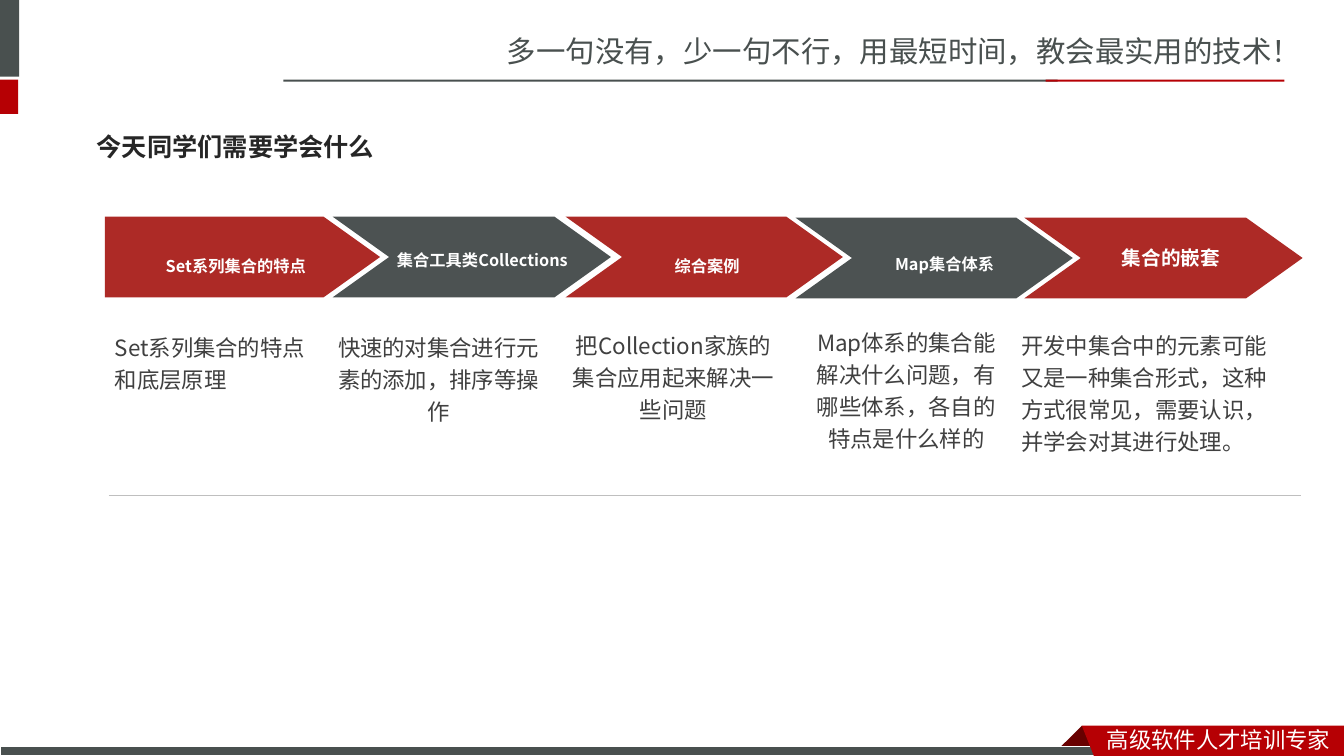
from collections import namedtuple

from lxml import etree
from pptx import Presentation
from pptx.dml.color import RGBColor
from pptx.enum.shapes import MSO_CONNECTOR, MSO_SHAPE
from pptx.enum.text import MSO_ANCHOR, MSO_AUTO_SIZE, PP_ALIGN
from pptx.oxml.ns import qn
from pptx.util import Pt

RECTANGLE = MSO_SHAPE.RECTANGLE
STRAIGHT = MSO_CONNECTOR.STRAIGHT
LEFT, CENTER = PP_ALIGN.LEFT, PP_ALIGN.CENTER
TOP, MIDDLE = MSO_ANCHOR.TOP, MSO_ANCHOR.MIDDLE
GROW, FIXED = MSO_AUTO_SIZE.SHAPE_TO_FIT_TEXT, MSO_AUTO_SIZE.NONE

EMU_PER_PX = 9144
TITLE_ONLY = 5
SANS_SC, SANS_JP, MONO = "Noto Sans CJK SC", "Noto Sans CJK JP", "Courier New"
GREY, RED, DARK_RED, WHITE = "49504F", "B60004", "680000", "FFFFFF"
ARROW_RED, ARROW_GREY = "AD2A26", "4C5252"
HEADING, BODY, RULE = "262626", "404040", "BFBFBF"
ARROW_HEIGHT, ARROW_TIP = 80, 56

Box = namedtuple("Box", "left top width height")
Stage = namedtuple("Stage", "arrow label_box label size spacing body_box body align")

STAGES = [
    Stage(Box(104, 215, 273, ARROW_HEIGHT), Box(103, 237, 262, 36),
          "Set系列集合的特点", 20, 1.2,
          Box(104, 321, 212, 73), "Set系列集合的特点和底层原理", LEFT),
    Stage(Box(330, 215, 276, ARROW_HEIGHT), Box(362, 236, 233, 33),
          "集合工具类Collections", 20, 1,
          Box(320, 321, 230, 105), "快速的对集合进行元素的添加，排序等操作", CENTER),
    Stage(Box(561, 215, 275, ARROW_HEIGHT), Box(528, 237, 347, 36),
          "综合案例", 20, 1.2,
          Box(553, 319, 230, 105), "把Collection家族的集合应用起来解决一些问题", CENTER),
    Stage(Box(789, 216, 275, ARROW_HEIGHT), Box(831, 240, 212, 33),
          "Map集合体系", 20, 1,
          Box(796, 316, 206, 138),
          "Map体系的集合能解决什么问题，有哪些体系，各自的特点是什么样的", CENTER),
    Stage(Box(1016, 216, 276, ARROW_HEIGHT), Box(1045, 235, 233, 37),
          "集合的嵌套", 14, 1.2,
          Box(1003, 319, 275, 138),
          "开发中集合中的元素可能又是一种集合形式，这种方式很常见，需要认识，并学会对其进行处理。", LEFT),
]


def px(count):
    return count * EMU_PER_PX


def colour(code):
    return RGBColor.from_string(code)


def paint(shape, fill):
    shape.shadow.inherit = False
    shape.fill.solid()
    shape.fill.fore_color.rgb = colour(fill)
    shape.line.fill.background()


def add_bar(page, box, fill):
    bar = page.shapes.add_shape(RECTANGLE, *map(px, box))
    paint(bar, fill)
    return bar


def add_outline(page, points, fill):
    start, *rest = [(px(x), px(y)) for x, y in points]
    builder = page.shapes.build_freeform(*start)
    builder.add_line_segments(rest, close=True)
    paint(builder.convert_to_shape(), fill)


def write(shape, text, size, fill, font=SANS_JP, east_asian=None, bold=False,
          align=LEFT, anchor=TOP, spacing=1, before=0, baseline=None, fit=GROW):
    frame = shape.text_frame
    frame.word_wrap = True
    frame.auto_size = fit
    frame.vertical_anchor = anchor
    para = frame.paragraphs[0]
    para.alignment = align
    para.line_spacing = spacing
    para.space_before = Pt(before)
    span = para.add_run()
    span.text = text
    span.font.size = Pt(size)
    span.font.bold = bold
    span.font.name = font
    span.font.color.rgb = colour(fill)
    properties = span._r.get_or_add_rPr()
    face = etree.Element(qn("a:ea"), typeface=east_asian or font)
    properties.find(qn("a:latin")).addnext(face)
    if baseline:
        properties.set("baseline", str(baseline))


def add_text(page, box, text, size, fill, **style):
    write(page.shapes.add_textbox(*map(px, box)), text, size, fill, **style)


def draw_header(page, box):
    add_text(page, Box(box.left + 493, box.top + 28, 840, 47),
             "多一句没有，少一句不行，用最短时间，教会最实用的技术！", 21, GREY, font=SANS_SC)
    add_bar(page, Box(box.left, box.top, 19, 76), GREY)
    add_bar(page, Box(box.left, box.top + 79, 18, 34), RED)
    add_bar(page, Box(box.left + 281, box.top + 79, 768, 2), GREY)
    add_bar(page, Box(box.left + 1037, box.top + 79, 237, 2), RED)


def draw_footer(page, box):
    right, bottom = box.left + box.width, box.top + box.height
    fold = right - 260
    add_outline(page, [(fold, box.top), (fold + 22, box.top + 22),
                       (fold + 21, box.top + 23), (fold - 21, box.top + 23),
                       (fold - 22, box.top + 22)], DARK_RED)
    strip = add_bar(page, Box(box.left, bottom - 9, 1099, 9), GREY)
    strip.line.color.rgb = colour(WHITE)
    strip.line.width = Pt(0.75)
    add_outline(page, [(fold, box.top), (right, box.top),
                       (right, bottom), (fold + 12, bottom)], RED)
    add_text(page, Box(right - 245, box.top - 5, 245, 37),
             "高级软件人才培训专家", 16, WHITE, font=SANS_SC)


def draw_heading(page, box):
    title = page.shapes.title
    title.left, title.top, title.width, title.height = map(px, box)
    write(title, "今天同学们需要学会什么", 18, HEADING, font=MONO, east_asian=SANS_SC,
          bold=True, anchor=MIDDLE, before=3.6, fit=FIXED)


def draw_arrow(page, box, fill, notched):
    right, bottom = box.left + box.width, box.top + box.height
    middle = box.top + box.height // 2
    points = [(box.left, box.top), (right - ARROW_TIP, box.top), (right, middle),
              (right - ARROW_TIP, bottom), (box.left, bottom)]
    if notched:
        points.append((box.left + ARROW_TIP, middle))
    add_outline(page, points, fill)


def draw_stage(page, index, stage):
    fill = ARROW_GREY if index % 2 else ARROW_RED
    draw_arrow(page, stage.arrow, fill, notched=index > 0)
    add_text(page, stage.label_box, stage.label, stage.size, WHITE, bold=True,
             align=CENTER, anchor=MIDDLE, spacing=stage.spacing,
             baseline=-3000 if stage.size == 20 else None)
    add_text(page, stage.body_box, stage.body, 16, BODY,
             align=stage.align, spacing=1.2)


def draw_rule(page, box):
    rule = page.shapes.add_connector(STRAIGHT, px(box.left), px(box.top),
                                     px(box.left + box.width), px(box.top))
    rule.line.color.rgb = colour(RULE)
    rule.line.width = Pt(0.25)
    etree.SubElement(rule._element.spPr, qn("a:effectLst"))


def main():
    deck = Presentation()
    deck.slide_width, deck.slide_height = px(1333), px(750)
    page = deck.slides.add_slide(deck.slide_layouts[TITLE_ONLY])
    draw_header(page, Box(0, 0, 1333, 113))
    draw_footer(page, Box(0, 720, 1333, 30))
    draw_heading(page, Box(86, 117, 408, 57))
    for index, stage in enumerate(STAGES):
        draw_stage(page, index, stage)
    draw_rule(page, Box(108, 491, 1182, 0))
    deck.save("out.pptx")


if __name__ == "__main__":
    main()
